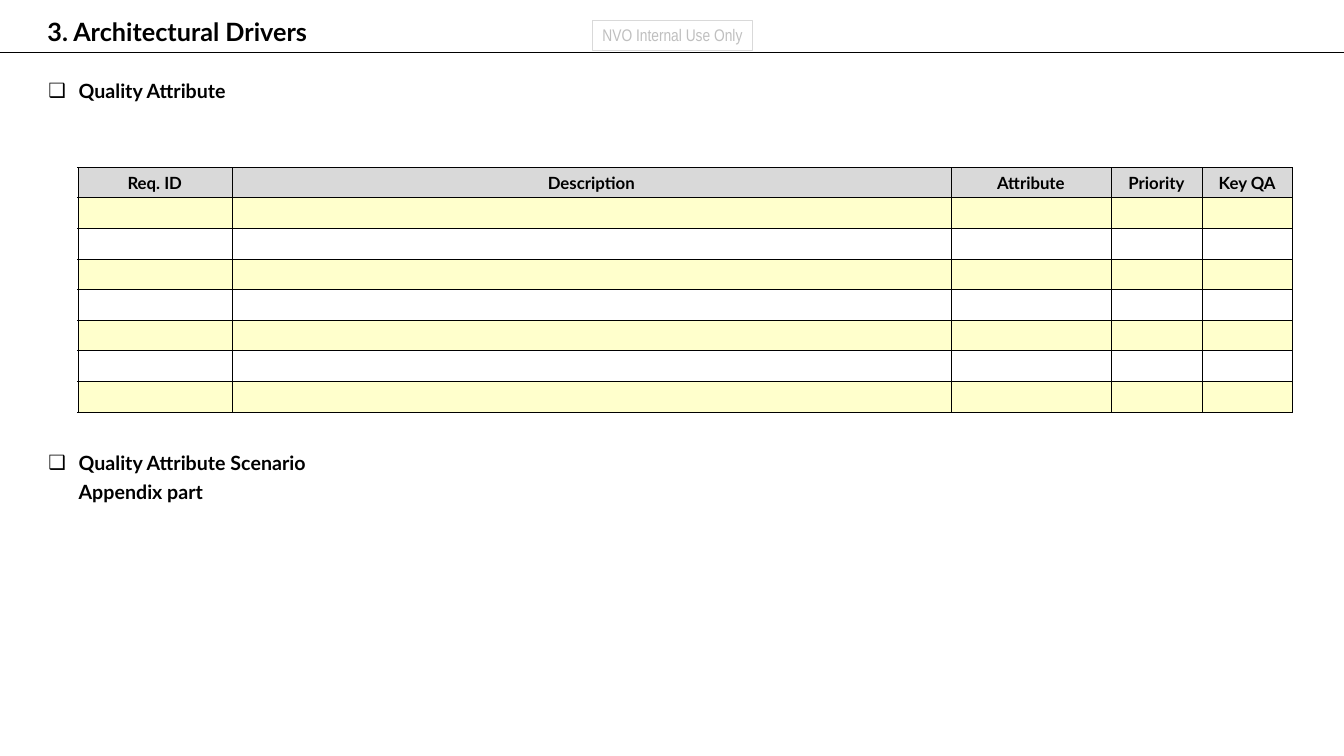
import copy

import lxml.etree
import pptx
import pptx.dml.color
import pptx.enum.shapes
import pptx.enum.text
import pptx.oxml.ns
import pptx.util

Inches = pptx.util.Inches
Pt = pptx.util.Pt
RGBColor = pptx.dml.color.RGBColor
Align = pptx.enum.text.PP_ALIGN
Anchor = pptx.enum.text.MSO_ANCHOR
qn = pptx.oxml.ns.qn

BLACK = RGBColor(0x00, 0x00, 0x00)
WHITE = RGBColor(0xFF, 0xFF, 0xFF)
CREAM = RGBColor(0xFF, 0xFF, 0xCC)
HEADER_GRAY = RGBColor(0xD9, 0xD9, 0xD9)
LABEL_GRAY = RGBColor(0xBF, 0xBF, 0xBF)

TITLE = "3. Architectural Drivers"
LABEL = "NVO Internal Use Only"
SECTIONS = [("Quality Attribute", 0), ("Quality Attribute Scenario\vAppendix part", 245.5)]
COLUMNS = [("Req. ID", 1.53), ("Description", 7.13), ("Attribute", 1.59),
           ("Priority", 0.9), ("Key QA", 0.9)]
EMPTY_ROWS = 7
ROW_HEIGHT = 0.3
TABLE_LEFT, TABLE_TOP = 0.77, 1.66
RULE_TOP = 0.52
SLIDE_WIDTH, SLIDE_HEIGHT = 13.33, 7.5

TITLE_FONT = {"name": "Lato", "size": Pt(18), "bold": True}
BODY_FONT = {"name": "Lato", "size": Pt(14), "bold": True}
CELL_FONT = {"name": "Lato", "size": Pt(12), "bold": True}
LABEL_FONT = {"name": "Arial Narrow", "size": Pt(12), "bold": False}


def set_attributes(target, values):
    for name, value in values.items():
        setattr(target, name, value)


def write(paragraph, text, font, color=BLACK, alignment=Align.LEFT):
    paragraph.text = text
    paragraph.alignment = alignment
    for run in paragraph.runs:
        set_attributes(run.font, font)
        run.font.color.rgb = color
    for line_break in paragraph._p.findall(qn("a:br")):
        line_break.append(copy.deepcopy(paragraph.runs[0]._r.rPr))


def place(shape, left, top, width, height):
    set_attributes(shape, {"left": Inches(left), "top": Inches(top),
                           "width": Inches(width), "height": Inches(height)})


def add_borders(cell):
    properties = cell._tc.get_or_add_tcPr()
    for index, side in enumerate(("a:lnL", "a:lnR", "a:lnT", "a:lnB")):
        border = lxml.etree.Element(qn(side), w=str(Pt(0.25)))
        fill = lxml.etree.SubElement(border, qn("a:solidFill"))
        lxml.etree.SubElement(fill, qn("a:srgbClr"), val=str(BLACK))
        properties.insert(index, border)


def add_header(slide):
    rule = slide.shapes.add_connector(
        pptx.enum.shapes.MSO_CONNECTOR.STRAIGHT,
        0, Inches(RULE_TOP), Inches(SLIDE_WIDTH), Inches(RULE_TOP))
    rule.line.color.rgb = BLACK
    rule.line.width = Pt(0.75)
    lxml.etree.SubElement(rule._element.spPr, qn("a:effectLst"))

    label = slide.shapes.add_shape(
        pptx.enum.shapes.MSO_SHAPE.RECTANGLE,
        Inches(5.88), Inches(0.2), Inches(1.58), Inches(0.3))
    label.shadow.inherit = False
    label.fill.background()
    label.line.color.rgb = HEADER_GRAY
    label.line.width = Pt(0.75)
    label.text_frame.word_wrap = False
    write(label.text_frame.paragraphs[0], LABEL, LABEL_FONT, LABEL_GRAY, Align.CENTER)

    title = slide.shapes.title
    place(title, 0.37, 0.11, 5.71, 0.4)
    set_attributes(title.text_frame, {"vertical_anchor": Anchor.MIDDLE,
                                      "auto_size": pptx.enum.text.MSO_AUTO_SIZE.NONE})
    write(title.text_frame.paragraphs[0], TITLE, TITLE_FONT)


def add_sections(slide):
    body = slide.placeholders[1]
    place(body, 0.48, 0.74, 12.49, 4.36)
    frame = body.text_frame
    set_attributes(frame, {"margin_left": 0, "margin_top": 0, "margin_right": 0,
                           "margin_bottom": 0, "vertical_anchor": Anchor.TOP,
                           "auto_size": pptx.enum.text.MSO_AUTO_SIZE.NONE})
    for index, (text, space_before) in enumerate(SECTIONS):
        paragraph = frame.add_paragraph() if index else frame.paragraphs[0]
        write(paragraph, text, BODY_FONT)
        set_attributes(paragraph, {"line_spacing": 1.2, "space_before": Pt(space_before)})
        properties = paragraph._p.get_or_add_pPr()
        properties.set("marL", str(Inches(0.3)))
        properties.set("indent", str(Inches(-0.3)))
        lxml.etree.SubElement(properties, qn("a:buChar"), char="❑")


def add_requirements(slide):
    row_count = EMPTY_ROWS + 1
    table = slide.shapes.add_table(
        row_count, len(COLUMNS), Inches(TABLE_LEFT), Inches(TABLE_TOP),
        Inches(sum(width for _, width in COLUMNS)), Inches(ROW_HEIGHT * row_count)).table
    for column, (_, width) in zip(table.columns, COLUMNS):
        column.width = Inches(width)
    for row_index, row in enumerate(table.rows):
        row.height = Inches(ROW_HEIGHT)
        for cell, (heading, _) in zip(row.cells, COLUMNS):
            paragraph = cell.text_frame.paragraphs[0]
            cell.fill.solid()
            if row_index == 0:
                cell.fill.fore_color.rgb = HEADER_GRAY
                write(paragraph, heading, CELL_FONT, BLACK, Align.CENTER)
            else:
                cell.fill.fore_color.rgb = CREAM if row_index % 2 else WHITE
                lxml.etree.SubElement(paragraph._p, qn("a:endParaRPr"), sz="1200")
            cell.vertical_anchor = Anchor.MIDDLE
            add_borders(cell)


def main():
    presentation = pptx.Presentation()
    presentation.slide_width = Inches(SLIDE_WIDTH)
    presentation.slide_height = Inches(SLIDE_HEIGHT)
    slide = presentation.slides.add_slide(presentation.slide_layouts[1])
    add_header(slide)
    add_sections(slide)
    add_requirements(slide)
    presentation.save("out.pptx")


if __name__ == "__main__":
    main()
